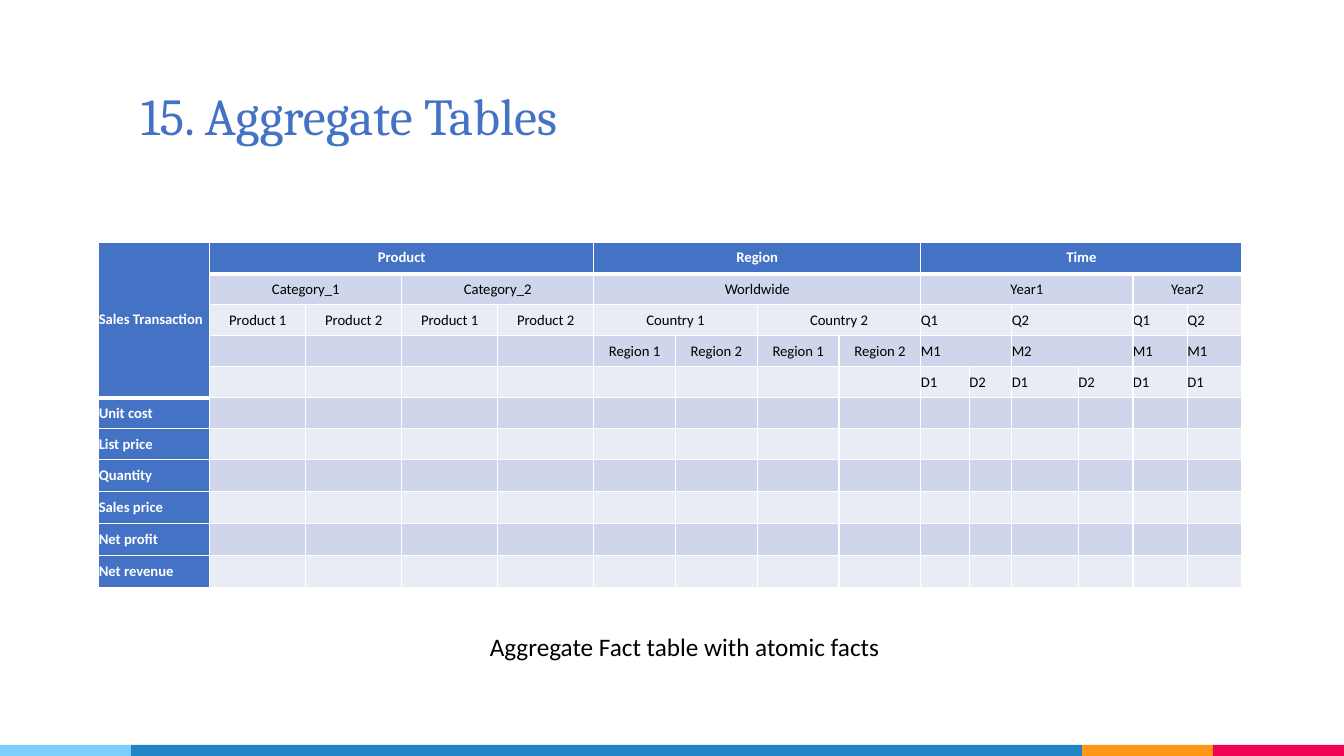
from dataclasses import dataclass

from lxml import etree
from pptx import Presentation
from pptx import util as u
from pptx.dml.color import RGBColor
from pptx.enum import shapes, text
from pptx.oxml.ns import qn


@dataclass(frozen=True)
class Theme:
    """Colours, fonts and type sizes of the slide."""
    accent: str = "4472C4"
    dark_band: str = "CFD5EA"
    light_band: str = "E9EBF5"
    ink: str = "000000"
    paper: str = "FFFFFF"
    sky: str = "7ECEFD"
    blue: str = "2185C5"
    orange: str = "FF9715"
    red: str = "F20253"
    heading: str = "Cambria"
    body: str = "Calibri"
    title_size: float = 37
    caption_size: float = 18
    cell_size: float = 10.5
    thin: float = 1
    thick: float = 3


class SlideBuilder:
    """Draws styled elements on the current slide."""

    def __init__(self, slide, theme):
        self.slide = slide
        self.theme = theme

    def add_words(self, paragraph, words, color, **formats):
        """Add a formatted run to a paragraph."""
        run = paragraph.add_run()
        run.text = words
        for name, value in formats.items():
            setattr(run.font, name, value)
        run.font.color.rgb = RGBColor.from_string(color)

    def stripe(self, left, width, color):
        """Draw one segment of the footer band."""
        segment = self.slide.shapes.add_shape(
            shapes.MSO_SHAPE.RECTANGLE, u.Inches(left), u.Inches(7.39),
            u.Inches(width), u.Inches(0.11))
        segment.shadow.inherit = False
        segment.fill.solid()
        segment.fill.fore_color.rgb = RGBColor.from_string(color)
        segment.line.fill.background()

    def label(self, box, words, color, frame_formats, spacing=None, **formats):
        """Place a line of text in a box."""
        frame = self.slide.shapes.add_textbox(*map(u.Inches, box)).text_frame
        for name, value in frame_formats.items():
            setattr(frame, name, value)
        frame.paragraphs[0].line_spacing = spacing
        self.add_words(frame.paragraphs[0], words, color, **formats)

    def border(self, cell, side, width):
        """Rule one side of a table cell."""
        properties = cell._tc.get_or_add_tcPr()
        line = etree.SubElement(properties, qn(f"a:ln{side}"), w=str(u.Pt(width)))
        fill = etree.SubElement(line, qn("a:solidFill"))
        etree.SubElement(fill, qn("a:srgbClr"), val=self.theme.paper)

    def cell(self, cell, row, column):
        """Give a table cell its margins, borders and fill."""
        theme = self.theme
        margins = dict.fromkeys(
            ("margin_left", "margin_right", "margin_top", "margin_bottom"), 0)
        formats = {**margins, "vertical_anchor": text.MSO_ANCHOR.MIDDLE}
        for name, value in formats.items():
            setattr(cell, name, value)
        header_end = 4 if column == 0 else 0
        heavy = {"T": row == header_end + 1, "B": row in (0, header_end)}
        for side in "LRTB":
            self.border(cell, side, theme.thick if heavy.get(side) else theme.thin)
        band = theme.dark_band if row % 2 else theme.light_band
        cell.fill.solid()
        cell.fill.fore_color.rgb = RGBColor.from_string(
            theme.accent if row == 0 or column == 0 else band)

    def table(self, box, widths, heights, rows):
        """Draw a table from rows of (words, column span) pairs."""
        theme = self.theme
        frame = self.slide.shapes.add_table(
            len(heights), len(widths), *map(u.Inches, box))
        grid = frame.table
        grid.first_row = grid.horz_banding = False
        for column, width in zip(grid.columns, widths):
            column.width = u.Inches(box[2] * width / sum(widths))
        for line, height in zip(grid.rows, heights):
            line.height = u.Inches(box[3] * height / sum(heights))
        for row, entries in enumerate(rows):
            for column in range(len(widths)):
                self.cell(grid.cell(row, column), row, column)
            column = 0
            for words, span in entries:
                cell = grid.cell(row, column)
                if span > 1:
                    cell.merge(grid.cell(row, column + span - 1))
                if words:
                    head = row == 0 or column == 0
                    justified = column == 0 or (row > 1 and column > 8)
                    paragraph = cell.text_frame.paragraphs[0]
                    paragraph.alignment = (text.PP_ALIGN.JUSTIFY if justified
                                           else text.PP_ALIGN.CENTER)
                    self.add_words(paragraph, words, theme.paper if head else theme.ink,
                                   name=theme.body, size=u.Pt(theme.cell_size), bold=head)
                column += span
        grid.cell(0, 0).merge(grid.cell(4, 0))


def main():
    """Build and save the aggregate tables slide."""
    theme = Theme()
    deck = Presentation()
    deck.slide_width, deck.slide_height = u.Inches(13.33), u.Inches(7.5)
    builder = SlideBuilder(deck.slides.add_slide(deck.slide_layouts[6]), theme)

    for left, width, color in ((10.73, 1.3, theme.orange), (12.03, 1.3, theme.red),
                               (0, 1.3, theme.sky), (1.3, 9.43, theme.blue)):
        builder.stripe(left, width, color)

    title_frame = dict.fromkeys(
        ("margin_left", "margin_right", "margin_top", "margin_bottom"), u.Inches(0.1))
    title_frame.update(word_wrap=True, vertical_anchor=text.MSO_ANCHOR.BOTTOM)
    builder.label((1.3, 0.3, 9.42, 1.25), "15. Aggregate Tables", theme.accent,
                  title_frame, spacing=0.9, name=theme.heading,
                  size=u.Pt(theme.title_size))

    blank = ("", 1)
    products = [("Product 1", 1), ("Product 2", 1)] * 2
    regions = [("Region 1", 1), ("Region 2", 1)] * 2
    facts = ("Unit cost", "List price", "Quantity",
             "Sales price", "Net profit", "Net revenue")
    rows = [
        [("Sales Transaction", 1), ("Product", 4), ("Region", 4), ("Time", 6)],
        [blank, ("Category_1", 2), ("Category_2", 2), ("Worldwide", 4),
         ("Year1", 4), ("Year2", 2)],
        [blank, *products, ("Country 1", 2), ("Country 2", 2),
         ("Q1", 2), ("Q2", 2), ("Q1", 1), ("Q2", 1)],
        [blank] * 5 + [*regions, ("M1", 2), ("M2", 2), ("M1", 1), ("M1", 1)],
        [blank] * 9 + [(day, 1) for day in ("D1", "D2", "D1", "D2", "D1", "D1")],
        *([(fact, 1)] for fact in facts),
    ]
    widths = [1.1] + [0.95] * 4 + [0.81] * 4 + [0.48, 0.42, 0.66] + [0.54] * 3
    heights = [0.32] + [0.31] * 6 + [0.32] * 4
    builder.table((0.98, 2.4, 11.34, 3.43), widths, heights, rows)

    builder.label((4.76, 6.21, 4.18, 0.4), "Aggregate Fact table with atomic facts",
                  theme.ink, {"word_wrap": True}, name=theme.body,
                  size=u.Pt(theme.caption_size))
    deck.save("out.pptx")


if __name__ == "__main__":
    main()
